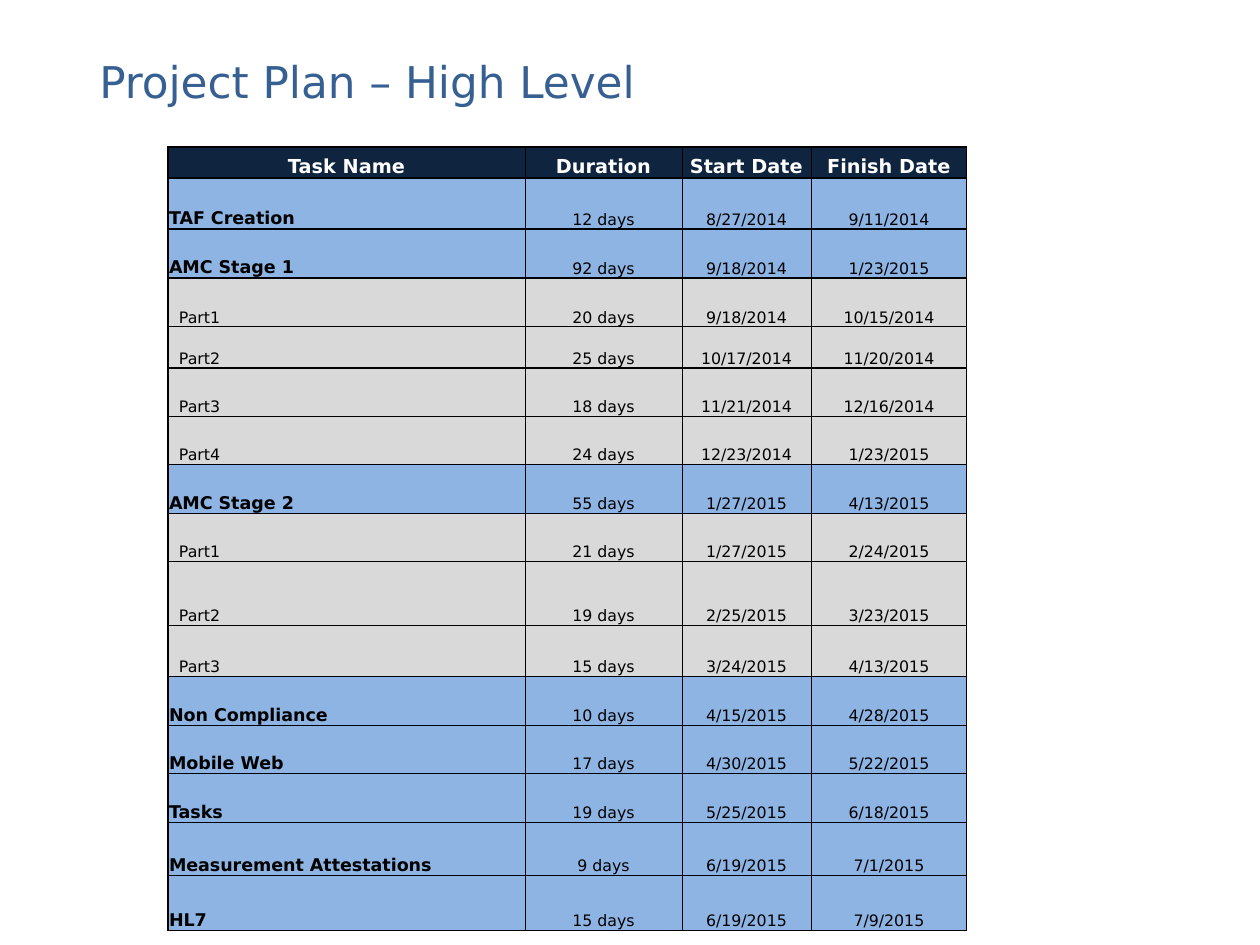
import dataclasses

import lxml.etree
import pptx
import pptx.dml.color
import pptx.enum.text
import pptx.oxml.ns
import pptx.util


@dataclasses.dataclass(frozen=True)
class Theme:
    font: str = "DejaVu Sans"
    title: str = "376092"
    header: str = "0F253F"
    header_text: str = "FFFFFF"
    stage: str = "8EB4E3"
    part: str = "D9D9D9"
    ink: str = "000000"
    title_size: int = 25
    header_size: int = 11
    stage_size: int = 10
    detail_size: int = 9
    thick: float = 1
    thin: float = 0.5


THEME = Theme()
PX = 914400 // 126
TITLE = "Project Plan – High Level"
TITLE_BOX = (87, 49, 921, 66)
TABLE_LEFT, TABLE_TOP = 168, 147
PART_INDENT = 11
COLUMNS = [("Task Name", 357), ("Duration", 157), ("Start Date", 129), ("Finish Date", 156)]
HEADER_HEIGHT = 31
TASKS = [
    ("stage", "TAF Creation", "12 days", "8/27/2014", "9/11/2014", 51, "thick"),
    ("stage", "AMC Stage 1", "92 days", "9/18/2014", "1/23/2015", 49, "thick"),
    ("part", "Part1", "20 days", "9/18/2014", "10/15/2014", 49, "thin"),
    ("part", "Part2", "25 days", "10/17/2014", "11/20/2014", 41, "thick"),
    ("part", "Part3", "18 days", "11/21/2014", "12/16/2014", 49, "thin"),
    ("part", "Part4", "24 days", "12/23/2014", "1/23/2015", 48, "thin"),
    ("stage", "AMC Stage 2", "55 days", "1/27/2015", "4/13/2015", 49, "thin"),
    ("part", "Part1", "21 days", "1/27/2015", "2/24/2015", 48, "thin"),
    ("part", "Part2", "19 days", "2/25/2015", "3/23/2015", 64, "thick"),
    ("part", "Part3", "15 days", "3/24/2015", "4/13/2015", 51, "thick"),
    ("stage", "Non Compliance", "10 days", "4/15/2015", "4/28/2015", 49, "thin"),
    ("stage", "Mobile Web", "17 days", "4/30/2015", "5/22/2015", 48, "thin"),
    ("stage", "Tasks", "19 days", "5/25/2015", "6/18/2015", 49, "thin"),
    ("stage", "Measurement Attestations", "9 days", "6/19/2015", "7/1/2015", 53, "thick"),
    ("stage", "HL7", "15 days", "6/19/2015", "7/9/2015", 55, "thin"),
]


def style_text(paragraph, size, color, bold=False):
    for run in paragraph.runs:
        run.font.name = THEME.font
        run.font.size = pptx.util.Pt(size)
        run.font.bold = bold
        run.font.color.rgb = pptx.dml.color.RGBColor.from_string(color)


def set_borders(cell, widths):
    qn = pptx.oxml.ns.qn
    properties = cell._tc.get_or_add_tcPr()
    for position, (side, width) in enumerate(widths.items()):
        line = lxml.etree.Element(qn(f"a:ln{side}"), w=str(int(pptx.util.Pt(width))))
        fill = lxml.etree.SubElement(line, qn("a:solidFill"))
        lxml.etree.SubElement(fill, qn("a:srgbClr"), val=THEME.ink)
        properties.insert(position, line)


def add_title(slide):
    heading = slide.shapes.add_textbox(*(length * PX for length in TITLE_BOX)).text_frame
    heading.word_wrap = True
    heading.text = TITLE
    style_text(heading.paragraphs[0], THEME.title_size, THEME.title)


def fill_cell(cell, text, kind, first_column):
    cell.text = text
    cell.vertical_anchor = pptx.enum.text.MSO_ANCHOR.BOTTOM
    indented = kind == "part" and first_column
    cell.margin_left = (PART_INDENT if indented else 1) * PX
    cell.margin_top = cell.margin_right = PX
    cell.margin_bottom = 0
    cell.fill.solid()
    cell.fill.fore_color.rgb = pptx.dml.color.RGBColor.from_string(getattr(THEME, kind))

    paragraph = cell.text_frame.paragraphs[0]
    centred = kind == "header" or not first_column
    alignments = pptx.enum.text.PP_ALIGN
    paragraph.alignment = alignments.CENTER if centred else alignments.LEFT
    if kind == "header":
        style_text(paragraph, THEME.header_size, THEME.header_text, True)
    elif kind == "stage" and first_column:
        style_text(paragraph, THEME.stage_size, THEME.ink, True)
    else:
        style_text(paragraph, THEME.detail_size, THEME.ink)


def add_plan(slide):
    names, widths = zip(*COLUMNS)
    rows = [("header", *names, HEADER_HEIGHT, "thick"), *TASKS]
    heights = [row[-2] for row in rows]
    plan = slide.shapes.add_table(
        len(rows), len(names), TABLE_LEFT * PX, TABLE_TOP * PX,
        sum(widths) * PX, sum(heights) * PX,
    ).table
    plan.first_row = plan.horz_banding = False
    for column, width in zip(plan.columns, widths):
        column.width = width * PX

    above = THEME.thick
    for r, (kind, *texts, height, rule) in enumerate(rows):
        plan.rows[r].height = height * PX
        below = getattr(THEME, rule)
        for c, text in enumerate(texts):
            cell = plan.cell(r, c)
            fill_cell(cell, text, kind, c == 0)
            left = THEME.thick if c == 0 else THEME.thin
            set_borders(cell, {"L": left, "R": THEME.thin, "T": above, "B": below})
        above = below


def main():
    deck = pptx.Presentation()
    deck.slide_width = 1260 * PX
    deck.slide_height = 945 * PX
    slide = deck.slides.add_slide(deck.slide_layouts[6])
    add_title(slide)
    add_plan(slide)
    deck.save("out.pptx")


if __name__ == "__main__":
    main()
